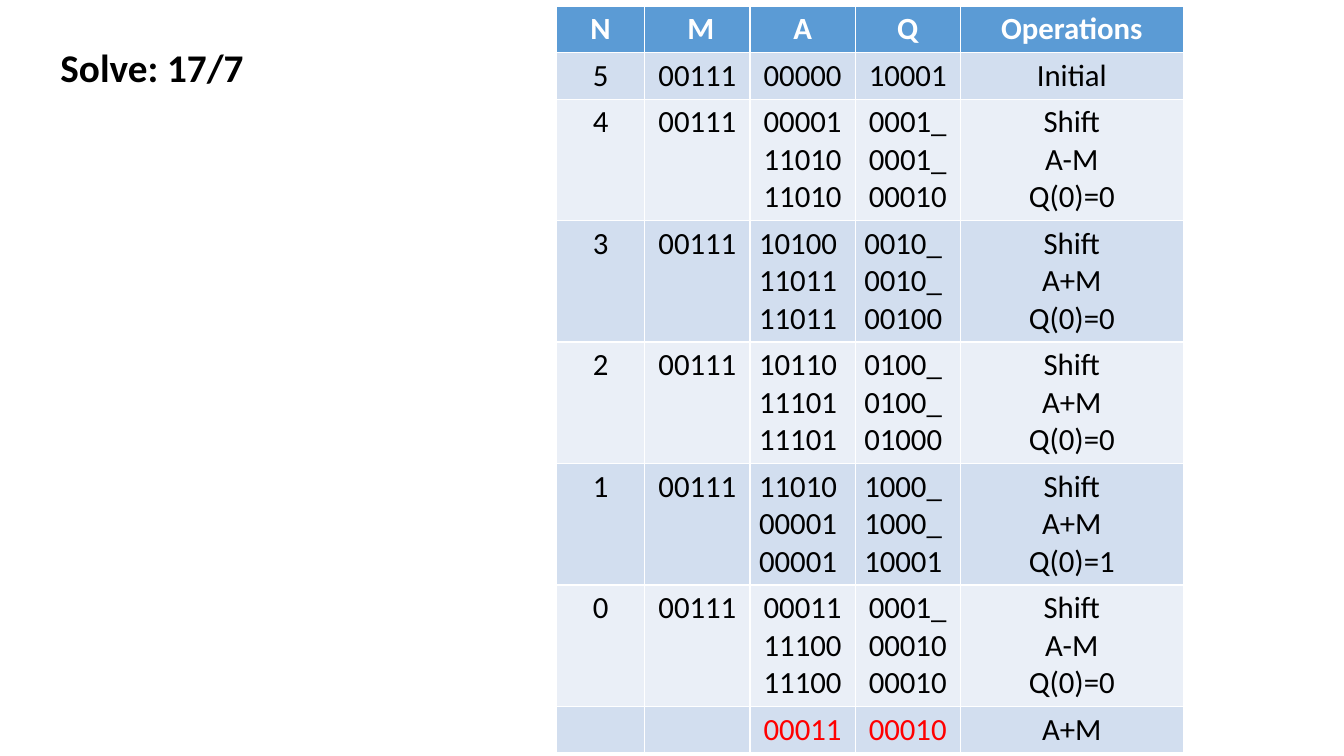
"""Build a slide that solves 17/7 by non-restoring division."""
import pptx
import pptx.dml.color
import pptx.enum.text
import pptx.util
from pptx.util import Cm

COLORS = {
    "header": "5B9BD5",
    "odd": "D2DEEF",
    "even": "EAEFF7",
    "white": "FFFFFF",
    "black": "000000",
    "result": "FF0000",
}
ALIGN = pptx.enum.text.PP_ALIGN


def write_text(text_frame, text, size=22, color="black", bold=False, align=ALIGN.CENTER):
    """Fill a text frame, one paragraph for each line of text."""
    text_frame.text = text
    for paragraph in text_frame.paragraphs:
        paragraph.alignment = align
        font = paragraph.font
        for run in paragraph.runs:
            font = run.font
            font.name = "Calibri"
            font.size = pptx.util.Pt(size)
            font.bold = bold
            font.color.rgb = pptx.dml.color.RGBColor.from_string(COLORS[color])


presentation = pptx.Presentation()
presentation.slide_width = Cm(33.87)
presentation.slide_height = Cm(19.05)
slide = presentation.slides.add_slide(presentation.slide_layouts[5])

title = slide.shapes.title
title.left, title.top, title.width, title.height = Cm(1.27), Cm(0.97), Cm(5.18), Cm(1.45)
write_text(title.text_frame, "Solve: 17/7", size=28, bold=True, align=ALIGN.LEFT)
title.text_frame.word_wrap = False
title.text_frame.auto_size = pptx.enum.text.MSO_AUTO_SIZE.SHAPE_TO_FIT_TEXT
title.text_frame.vertical_anchor = pptx.enum.text.MSO_ANCHOR.TOP

rows = [
    ("N", " M", "A", "Q", "Operations"),
    ("5", "00111", "00000", "10001", "Initial"),
    ("4", "00111", "00001\n11010\n11010", "0001_\n0001_\n00010", "Shift\nA-M\nQ(0)=0"),
    ("3", "00111", "10100\n11011\n11011", "0010_\n0010_\n00100", "Shift\nA+M\nQ(0)=0"),
    ("2", "00111", "10110\n11101\n11101", "0100_\n0100_\n01000", "Shift\nA+M\nQ(0)=0"),
    ("1", "00111", "11010\n00001\n00001", "1000_\n1000_\n10001", "Shift\nA+M\nQ(0)=1"),
    ("0", "00111", "00011\n11100\n11100", "0001_\n00010\n00010", "Shift\nA-M\nQ(0)=0"),
    ("", "", "00011", "00010", "A+M"),
]
column_widths = [2.23, 2.65, 2.65, 2.65, 5.62]
register_columns = (2, 3)
left_aligned_steps = ("3", "2", "1")
last_row = len(rows) - 1

table = slide.shapes.add_table(
    len(rows), len(column_widths), Cm(14.02), Cm(0.16), Cm(sum(column_widths)), Cm(18.8)
).table
for column, width in zip(table.columns, column_widths):
    column.width = Cm(width)

for row_index, row in enumerate(rows):
    table.rows[row_index].height = Cm(3.06 if "\n" in row[-1] else 1.17)
    is_header = row_index == 0
    band = "header" if is_header else "odd" if row_index % 2 else "even"
    for column_index, text in enumerate(row):
        cell = table.cell(row_index, column_index)
        cell.margin_left = cell.margin_right = Cm(0.23)
        cell.margin_top = cell.margin_bottom = Cm(0.11)
        cell.fill.solid()
        cell.fill.fore_color.rgb = pptx.dml.color.RGBColor.from_string(COLORS[band])
        is_register = column_index in register_columns
        is_result = is_register and row_index == last_row
        is_left = is_register and row[0] in left_aligned_steps
        write_text(
            cell.text_frame,
            text,
            color="white" if is_header else "result" if is_result else "black",
            bold=is_header,
            align=ALIGN.LEFT if is_left else ALIGN.CENTER,
        )

presentation.save("out.pptx")
